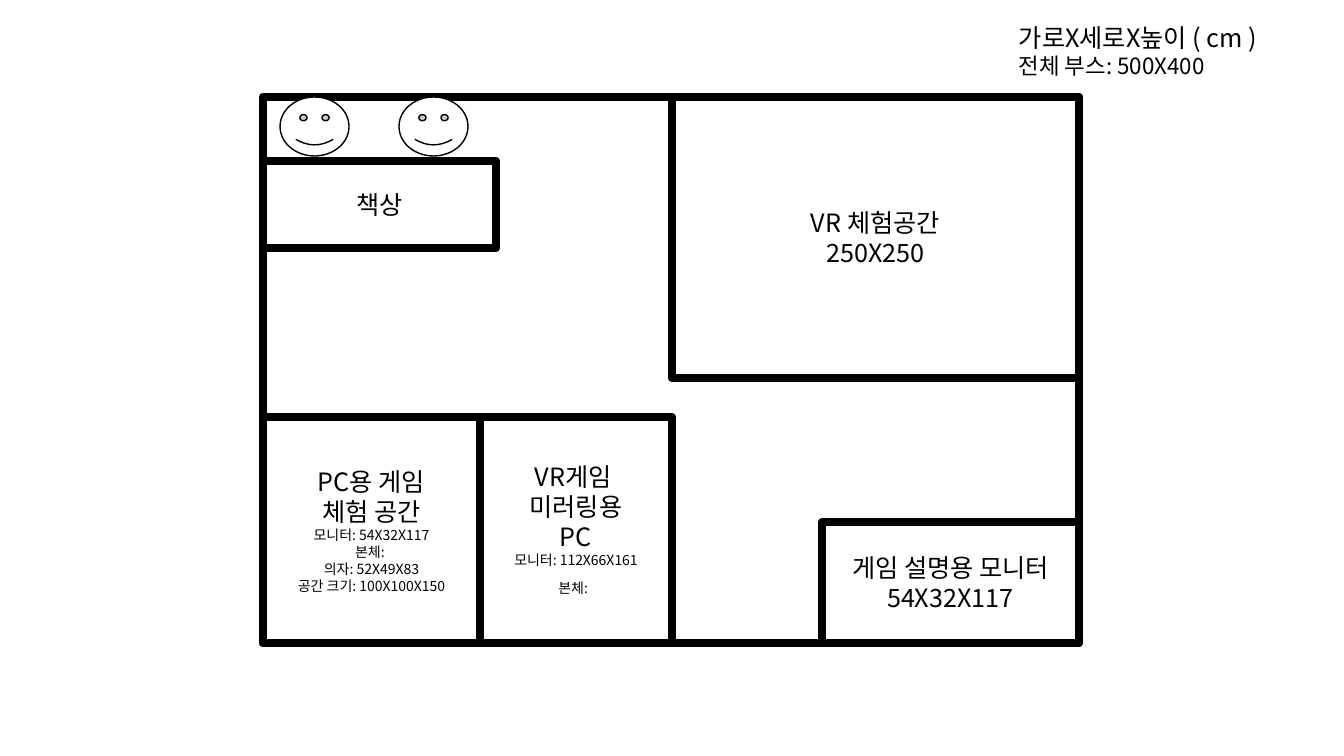
from dataclasses import dataclass

from lxml import etree
from pptx import Presentation
from pptx.dml.color import RGBColor
from pptx.enum.shapes import MSO_SHAPE
from pptx.enum.text import MSO_ANCHOR, MSO_AUTO_SIZE, PP_ALIGN
from pptx.oxml.ns import qn
from pptx.util import Emu, Pt

RECTANGLE = MSO_SHAPE.RECTANGLE
SMILEY = MSO_SHAPE.SMILEY_FACE
MIDDLE = MSO_ANCHOR.MIDDLE
FIT_SHAPE = MSO_AUTO_SIZE.SHAPE_TO_FIT_TEXT
CENTER = PP_ALIGN.CENTER
LEFT = PP_ALIGN.LEFT
EMU_PER_PX = 914400 / 100.8


@dataclass(frozen=True)
class Theme:
    ink: RGBColor = RGBColor(0, 0, 0)
    paper: RGBColor = RGBColor(255, 255, 255)
    font: str = "Noto Sans CJK KR"
    title: int = 18
    subtitle: int = 16
    detail: int = 10
    wall: int = 6
    outline: int = 1


THEME = Theme()


def px(length):
    return Emu(round(length * EMU_PER_PX))


def place(box, left, top, width, height):
    return box[0] + left, box[1] + top, width, height


def write_lines(frame, lines, align):
    for index, (spans, size) in enumerate(lines):
        para = frame.paragraphs[0] if index == 0 else frame.add_paragraph()
        para.alignment = align
        para.font.size = Pt(size)
        para.font.color.rgb = THEME.ink
        para.font.name = THEME.font
        defaults = para._p.pPr.find(qn("a:defRPr"))
        etree.SubElement(defaults, qn("a:ea"), typeface=THEME.font)
        for text, span_size in spans:
            span = para.add_run()
            span.text = text
            if span_size != size:
                span.font.size = Pt(span_size)


def plain(size, *texts):
    return [([(text, size)], size) for text in texts]


def add_outlined(page, kind, box, line_width):
    shape = page.shapes.add_shape(kind, *map(px, box))
    shape.shadow.inherit = False
    shape.fill.solid()
    shape.fill.fore_color.rgb = THEME.paper
    shape.line.color.rgb = THEME.ink
    shape.line.width = Pt(line_width)
    return shape


def add_room(page, box, lines=()):
    room = add_outlined(page, RECTANGLE, box, THEME.wall)
    frame = room.text_frame
    frame.word_wrap = True
    frame.vertical_anchor = MIDDLE
    write_lines(frame, lines, CENTER)


def add_desk_area(page, box):
    add_room(page, place(box, 0, 64, 233, 87), plain(THEME.title, "책상"))
    for seat in range(2):
        face = place(box, 17 + seat * 119, 0, 69, 59)
        add_outlined(page, SMILEY, face, THEME.outline)


def add_computer_rooms(page, box):
    left, top, width, height = box
    game_width = 217
    add_room(page, (left, top, game_width, height),
             plain(THEME.title, "PC용 게임", "체험 공간")
             + plain(THEME.detail, "모니터: 54X32X117", "본체: ",
                     "의자: 52X49X83", "공간 크기: 100X100X150"))
    body_line = ([("본체:", THEME.detail), (" ", THEME.title)], THEME.detail)
    add_room(page, (left + game_width, top, width - game_width, height),
             plain(THEME.title, "VR게임 ", "미러링용", "PC")
             + plain(THEME.detail, "모니터: 112X66X161") + [body_line])


def add_booth(page, box):
    add_room(page, box)
    add_room(page, place(box, 409, 0, 407, 281),
             plain(THEME.title, "VR 체험공간", "250X250"))
    add_desk_area(page, box)
    add_computer_rooms(page, place(box, 0, 320, 409, 226))
    add_room(page, place(box, 559, 425, 257, 121),
             plain(THEME.title, "게임 설명용 모니터", "54X32X117"))


def add_size_note(page, box):
    frame = page.shapes.add_textbox(*map(px, box)).text_frame
    frame.word_wrap = True
    frame.auto_size = FIT_SHAPE
    write_lines(frame, plain(THEME.title, "가로X세로X높이 ( cm )")
                + plain(THEME.subtitle, "전체 부스: 500X400"), LEFT)


def main():
    deck = Presentation()
    deck.slide_width, deck.slide_height = px(1344), px(756)
    page = deck.slides.add_slide(deck.slide_layouts[6])
    add_booth(page, (263, 97, 816, 546))
    add_size_note(page, (1009, 17, 306, 68))
    deck.save("out.pptx")


if __name__ == "__main__":
    main()
